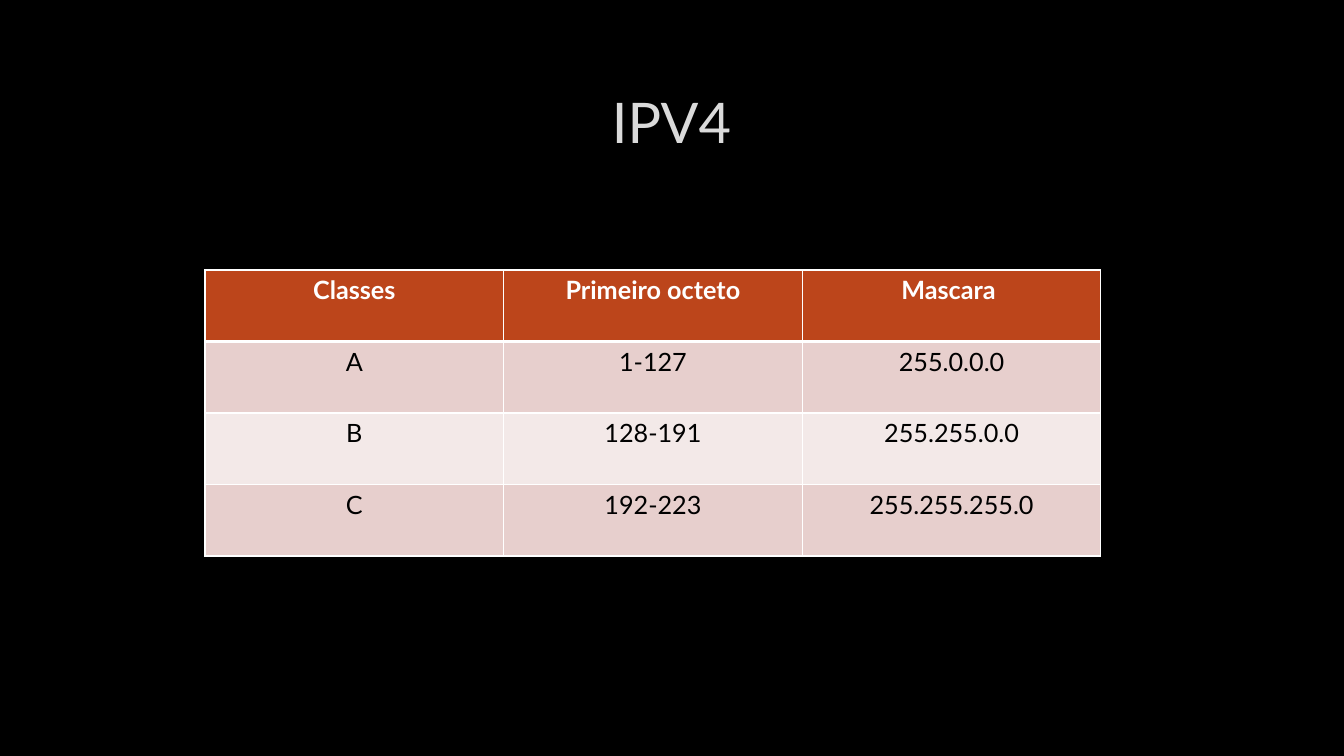
from dataclasses import dataclass

from lxml import etree
from pptx import Presentation
from pptx.dml.color import RGBColor
from pptx.enum.text import MSO_ANCHOR, PP_ALIGN
from pptx.oxml.ns import qn
from pptx.util import Emu, Pt

CENTER = PP_ALIGN.CENTER
MIDDLE = MSO_ANCHOR.MIDDLE
TOP = MSO_ANCHOR.TOP
FONT = "Lato"
WHITE = "FFFFFF"
BLACK = "000000"
RUST = "BC451B"
ROSE = "E7CFCD"
PALE_ROSE = "F3E9E8"


@dataclass(frozen=True)
class AddressRow:
    values: tuple[str, str, str]
    fill: str
    color: str = BLACK
    bold: bool = False
    top_rule: int = 1
    bottom_rule: int = 1


def px(pixels: int) -> Emu:
    return Emu(round(pixels * 914400 / 100.8))


def rgb(value: str) -> RGBColor:
    return RGBColor.from_string(value)


def write(frame, text: str, *, size: int, color: str, bold: bool = False) -> None:
    frame.word_wrap = True
    paragraph = frame.paragraphs[0]
    paragraph.alignment = CENTER
    run = paragraph.add_run()
    run.text = text
    run.font.name = FONT
    run.font.size = Pt(size)
    run.font.bold = bold
    run.font.color.rgb = rgb(color)


def add_rule(properties, side: str, points: int) -> None:
    rule = etree.SubElement(properties, qn(f"a:{side}"), w=str(Pt(points)))
    fill = etree.SubElement(rule, qn("a:solidFill"))
    etree.SubElement(fill, qn("a:srgbClr"), val=WHITE)


def draw_cell(cell, text: str, row: AddressRow) -> None:
    write(cell.text_frame, text, size=18, color=row.color, bold=row.bold)
    cell.vertical_anchor = TOP
    properties = cell._tc.get_or_add_tcPr()
    rules = {"lnL": 1, "lnR": 1, "lnT": row.top_rule, "lnB": row.bottom_rule}
    for side, points in rules.items():
        add_rule(properties, side, points)
    cell.fill.solid()
    cell.fill.fore_color.rgb = rgb(row.fill)


def draw_table(slide, rows: list[AddressRow], left: int, top: int,
               width: int, height: int) -> None:
    column_count = len(rows[0].values)
    table = slide.shapes.add_table(len(rows), column_count, px(left), px(top),
                                   px(width), px(height)).table
    for column in table.columns:
        column.width = px(width) // column_count
    for row_index, row in enumerate(rows):
        table.rows[row_index].height = px(height) // len(rows)
        for column_index, text in enumerate(row.values):
            draw_cell(table.cell(row_index, column_index), text, row)


ADDRESS_ROWS = [
    AddressRow(("Classes", "Primeiro octeto", "Mascara "), RUST, WHITE, True,
               bottom_rule=3),
    AddressRow(("A", "1-127", "255.0.0.0"), ROSE, top_rule=3),
    AddressRow(("B", "128-191", "255.255.0.0"), PALE_ROSE),
    AddressRow(("C", "192-223", "255.255.255.0"), ROSE),
]

presentation = Presentation()
presentation.slide_width = px(1344)
presentation.slide_height = px(756)
slide = presentation.slides.add_slide(presentation.slide_layouts[6])
slide.background.fill.solid()
slide.background.fill.fore_color.rgb = rgb(BLACK)

heading = slide.shapes.add_textbox(px(101), px(68), px(1141), px(107)).text_frame
heading.vertical_anchor = MIDDLE
write(heading, "IPV4", size=40, color="DADADA")

draw_table(slide, ADDRESS_ROWS, 205, 270, 896, 286)

presentation.save("out.pptx")
